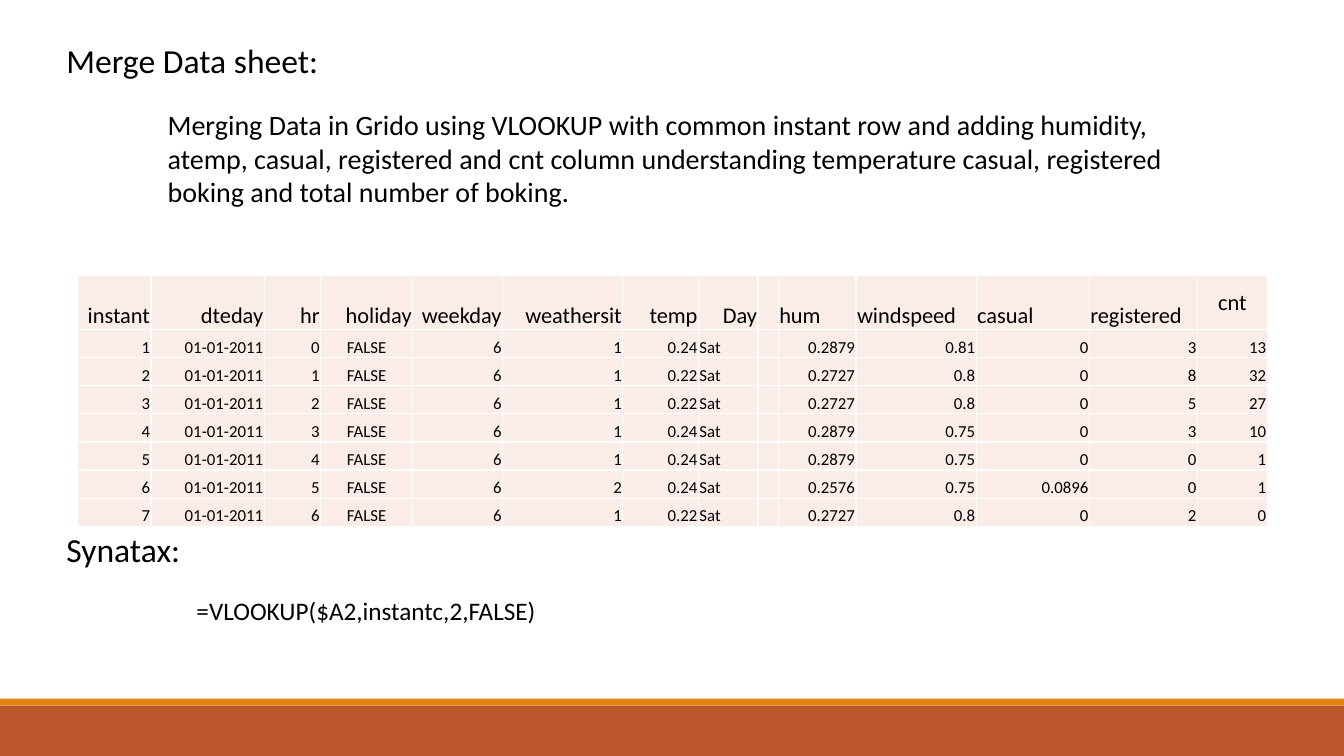
from dataclasses import dataclass

from lxml import etree
from pptx import Presentation
from pptx import util as u
from pptx.dml.color import RGBColor
from pptx.enum import shapes, text
from pptx.oxml import ns

LEFT, CENTER, RIGHT = text.PP_ALIGN.LEFT, text.PP_ALIGN.CENTER, text.PP_ALIGN.RIGHT


@dataclass(frozen=True)
class Theme:
    font: str = "Calibri"
    ink: str = "000000"
    rust: str = "BD582C"
    orange: str = "E48312"
    blush: str = "FAEDE7"
    rule: str = "FFFFFF"
    heading: int = 24
    body: int = 20
    formula: int = 18
    table_head: int = 16
    table_body: int = 12


@dataclass(frozen=True)
class Area:
    """A rectangle in percent of the slide's width and height."""
    left: float
    top: float
    width: float
    height: float


@dataclass(frozen=True)
class Band:
    area: Area
    color: str


@dataclass(frozen=True)
class Note:
    area: Area
    words: str
    size: int


@dataclass(frozen=True)
class Column:
    name: str
    weight: int
    values: tuple
    align: text.PP_ALIGN = RIGHT
    head_align: text.PP_ALIGN = RIGHT
    head_anchor: text.MSO_ANCHOR = text.MSO_ANCHOR.BOTTOM


THEME = Theme()
SLIDE_WIDTH, SLIDE_HEIGHT = u.Inches(13.33), u.Inches(7.5)
RECORDS = 7
TABLE_AREA = Area(5.75, 36.4, 88.55, 33.24)
HEAD_ROW = 7.2

BANDS = (
    Band(Area(0, 93.33, 100, 6.67), THEME.rust),
    Band(Area(0, 92.4, 100, 0.93), THEME.orange),
)
NOTES = (
    Note(Area(4.2, 4.6, 22.96, 6.67), "Merge Data sheet:", THEME.heading),
    Note(Area(11.73, 13.6, 76.52, 19.33),
         "Merging Data in Grido using VLOOKUP with common instant row and adding "
         "humidity, atemp, casual, registered and cnt column understanding "
         "temperature casual, registered boking and total number of boking.",
         THEME.body),
    Note(Area(4.2, 69.27, 19.35, 6.67), "Synatax:", THEME.heading),
    Note(Area(13.88, 78.13, 69.54, 5.33), "=VLOOKUP($A2,instantc,2,FALSE)",
         THEME.formula),
)
COLUMNS = (
    Column("instant", 73, tuple(range(1, RECORDS + 1))),
    Column("dteday", 112, ("01-01-2011",) * RECORDS),
    Column("hr", 56, tuple(range(RECORDS))),
    Column("holiday", 91, ("FALSE",) * RECORDS, align=CENTER),
    Column("weekday", 89, (6,) * RECORDS),
    Column("weathersit", 119, (1, 1, 1, 1, 1, 2, 1)),
    Column("temp", 75, (0.24, 0.22, 0.22, 0.24, 0.24, 0.24, 0.22)),
    Column("Day", 59, ("Sat",) * RECORDS, align=LEFT),
    Column("", 20, ("",) * RECORDS),
    Column("hum", 77, ("0.2879", "0.2727", "0.2727", "0.2879", "0.2879", "0.2576",
                       "0.2727"), head_align=LEFT),
    Column("windspeed", 119, (0.81, 0.8, 0.8, 0.75, 0.75, 0.75, 0.8),
           head_align=LEFT),
    Column("casual", 112, (0, 0, 0, 0, 0, "0.0896", 0), head_align=LEFT),
    Column("registered", 107, (3, 8, 5, 3, 0, 0, 2), head_align=LEFT),
    Column("cnt", 69, (13, 32, 27, 10, 1, 1, 0), head_align=CENTER,
           head_anchor=text.MSO_ANCHOR.MIDDLE),
)


def across(percent: float) -> int:
    return round(SLIDE_WIDTH * percent / 100)


def down(percent: float) -> int:
    return round(SLIDE_HEIGHT * percent / 100)


def place(area: Area) -> tuple:
    return across(area.left), down(area.top), across(area.width), down(area.height)


def apply_format(target, values: dict) -> None:
    for name, value in values.items():
        setattr(target, name, value)


def write(para, words: str, size: int) -> None:
    if not words:
        para._p.get_or_add_endParaRPr().set("sz", str(size * 100))
        return
    span = para.add_run()
    span.text = words
    apply_format(span.font, {"name": THEME.font, "size": u.Pt(size)})
    span.font.color.rgb = RGBColor.from_string(THEME.ink)


def draw_band(page, band: Band) -> None:
    box = page.shapes.add_shape(shapes.MSO_SHAPE.RECTANGLE, *place(band.area))
    box.shadow.inherit = False
    box.fill.solid()
    box.fill.fore_color.rgb = RGBColor.from_string(band.color)
    box.line.fill.background()


def draw_note(page, note: Note) -> None:
    box = page.shapes.add_textbox(*place(note.area))
    box.text_frame.word_wrap = True
    write(box.text_frame.paragraphs[0], note.words, note.size)


def add_borders(cell) -> None:
    properties = cell._tc.get_or_add_tcPr()
    for position, side in enumerate(("lnL", "lnR", "lnT", "lnB")):
        line = etree.Element(ns.qn(f"a:{side}"), w=str(u.Pt(1)))
        fill = etree.SubElement(line, ns.qn("a:solidFill"))
        etree.SubElement(fill, ns.qn("a:srgbClr"), val=THEME.rule)
        properties.insert(position, line)


def fill_cell(cell, words: str, size: int, align: text.PP_ALIGN,
              anchor: text.MSO_ANCHOR) -> None:
    edge = u.Inches(0.01)
    apply_format(cell, {"margin_left": edge, "margin_right": edge,
                        "margin_top": edge, "margin_bottom": 0,
                        "vertical_anchor": anchor})
    cell.fill.solid()
    cell.fill.fore_color.rgb = RGBColor.from_string(THEME.blush)
    add_borders(cell)
    para = cell.text_frame.paragraphs[0]
    para.alignment = align
    write(para, words, size)


def draw_table(page) -> None:
    table = page.shapes.add_table(RECORDS + 1, len(COLUMNS), *place(TABLE_AREA)).table
    apply_format(table, {"first_row": False, "horz_banding": False})
    record_row = (TABLE_AREA.height - HEAD_ROW) / RECORDS
    for index, row in enumerate(table.rows):
        row.height = down(record_row if index else HEAD_ROW)
    total = sum(column.weight for column in COLUMNS)
    for index, column in enumerate(COLUMNS):
        table.columns[index].width = across(TABLE_AREA.width * column.weight / total)
        fill_cell(table.cell(0, index), column.name, THEME.table_head,
                  column.head_align, column.head_anchor)
        for row, value in enumerate(column.values, start=1):
            fill_cell(table.cell(row, index), str(value), THEME.table_body,
                      column.align, text.MSO_ANCHOR.BOTTOM)


def main() -> None:
    deck = Presentation()
    apply_format(deck, {"slide_width": SLIDE_WIDTH, "slide_height": SLIDE_HEIGHT})
    page = deck.slides.add_slide(deck.slide_layouts[6])
    for band in BANDS:
        draw_band(page, band)
    for note in NOTES:
        draw_note(page, note)
    draw_table(page)
    deck.save("out.pptx")


if __name__ == "__main__":
    main()
